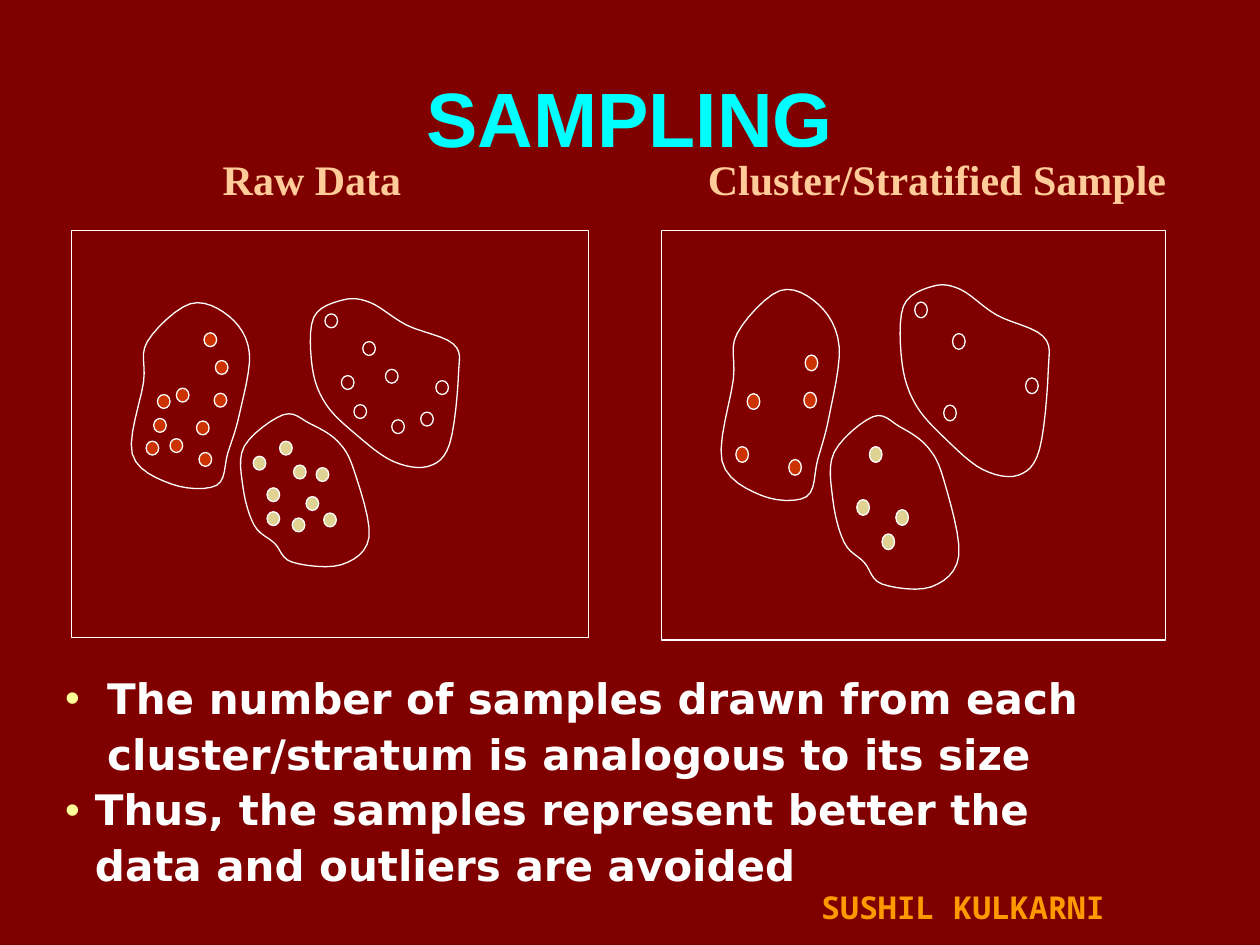
import pptx
import pptx.dml.color
import pptx.enum.shapes
import pptx.enum.text
import pptx.util
from lxml import etree

Pt = pptx.util.Pt
MAROON = pptx.dml.color.RGBColor(0x80, 0x00, 0x00)
WHITE = pptx.dml.color.RGBColor(0xFF, 0xFF, 0xFF)
CYAN = pptx.dml.color.RGBColor(0x00, 0xFF, 0xFF)
PEACH = pptx.dml.color.RGBColor(0xFF, 0xCC, 0x99)
ORANGE = pptx.dml.color.RGBColor(0xFF, 0x99, 0x00)
RED = pptx.dml.color.RGBColor(0xCC, 0x33, 0x00)
SAND = pptx.dml.color.RGBColor(0xDF, 0xD2, 0x93)
YELLOW = pptx.dml.color.RGBColor(0xFF, 0xFF, 0x99)

GRID_WIDTH, GRID_HEIGHT = 262, 213
DOT_WIDTH, DOT_HEIGHT = 10, 11
CURVE_STEPS = 6

CLUSTERS = [
    {
        "color": MAROON,
        "sampled": [(183, 35), (176, 85), (241, 66), (153, 13)],
        "unsampled": [(201, 57), (166, 62), (229, 91), (206, 97)],
        "outline": [(255, 37), (259, 61), (252, 116), (235, 134), (207, 130), (178, 109),
                    (154, 85), (143, 56), (144, 16), (167, 2), (189, 4), (218, 22)],
    },
    {
        "color": SAND,
        "sampled": [(127, 175), (138, 158), (107, 151), (117, 114)],
        "unsampled": [(96, 126), (146, 135), (107, 170), (128, 133), (152, 171)],
        "outline": [(113, 195), (97, 181), (88, 151), (89, 118), (120, 93), (141, 100),
                    (163, 114), (176, 137), (188, 190), (166, 212), (127, 210)],
    },
    {
        "color": RED,
        "sampled": [(11, 114), (20, 77), (53, 123), (65, 76), (66, 50)],
        "unsampled": [(30, 112), (17, 96), (51, 98), (35, 72), (57, 28)],
        "outline": [(76, 123), (67, 149), (31, 148), (0, 124), (9, 67),
                    (12, 35), (46, 5), (77, 15), (93, 44), (85, 93)],
    },
]

BULLET_LINES = [
    ("The number of samples drawn from each", True, 24),
    ("cluster/stratum is analogous to its size", False, 24),
    ("Thus, the samples represent better the", True, 17),
    ("data and outliers are avoided", False, 17),
]


def style_shape(shape, fill=None):
    """Give a shape a thin white line and a plain fill or none."""
    shape.shadow.inherit = False
    shape.line.color.rgb = WHITE
    shape.line.width = Pt(0.75)
    if fill is None:
        shape.fill.background()
    else:
        shape.fill.solid()
        shape.fill.fore_color.rgb = fill


def add_span(para, text, size, font, color):
    """Add one bold run to a paragraph."""
    span = para.add_run()
    span.text = text
    span.font.size = Pt(size)
    span.font.name = font
    span.font.bold = True
    span.font.color.rgb = color


def add_text_box(page, box, wrap=True):
    """Add an empty text box in the given place."""
    shape = page.shapes.add_textbox(*map(Pt, box))
    shape.text_frame.word_wrap = wrap
    return shape


def blend(before, start, end, after, t):
    """Return the value at t on the smooth curve from start to end."""
    slope_in, slope_out = (end - before) / 2, (after - start) / 2
    rise = end - start
    bend = 3 * rise - 2 * slope_in - slope_out
    twist = slope_in + slope_out - 2 * rise
    return start + t * (slope_in + t * (bend + t * twist))


def smooth_outline(knots):
    """Return points along the closed smooth curve through the knots."""
    count = len(knots)
    result = []
    for index in range(count):
        near = [knots[(index + shift) % count] for shift in (-1, 0, 1, 2)]
        for step in range(CURVE_STEPS):
            result.append([blend(*values, step / CURVE_STEPS) for values in zip(*near)])
    return result


def add_clusters(page, box, sampled_only):
    """Draw the three clusters and their dots, stretched to the box."""
    left, top, width, height = box
    scale_x, scale_y = width / GRID_WIDTH, height / GRID_HEIGHT

    def place(point):
        return Pt(left + point[0] * scale_x), Pt(top + point[1] * scale_y)

    for cluster in CLUSTERS:
        dots = cluster["sampled"] + ([] if sampled_only else cluster["unsampled"])
        for dot in dots:
            shape = page.shapes.add_shape(
                pptx.enum.shapes.MSO_SHAPE.FLOWCHART_CONNECTOR, *place(dot),
                Pt(DOT_WIDTH * scale_x), Pt(DOT_HEIGHT * scale_y))
            style_shape(shape, cluster["color"])
        points = [place(point) for point in smooth_outline(cluster["outline"])]
        builder = page.shapes.build_freeform(*points[0])
        builder.add_line_segments(points[1:], close=True)
        style_shape(builder.convert_to_shape())


def add_panel(page, box, cluster_top, cluster_height, sampled_only):
    """Draw a framed panel holding the clusters."""
    frame = page.shapes.add_shape(pptx.enum.shapes.MSO_SHAPE.RECTANGLE, *map(Pt, box))
    style_shape(frame)
    cluster_box = (box[0] + 34.6, box[1] + cluster_top, 188.6, cluster_height)
    add_clusters(page, cluster_box, sampled_only)


def add_title(page, box):
    """Write the centred slide title."""
    shape = add_text_box(page, box)
    shape.text_frame.vertical_anchor = pptx.enum.text.MSO_ANCHOR.MIDDLE
    para = shape.text_frame.paragraphs[0]
    para.alignment = pptx.enum.text.PP_ALIGN.CENTER
    add_span(para, "SAMPLING", 44, "Arial", CYAN)


def add_label(page, box, text):
    """Write the heading of a panel."""
    shape = add_text_box(page, box, wrap=False)
    shape.fill.solid()
    shape.fill.fore_color.rgb = MAROON
    add_span(shape.text_frame.paragraphs[0], text, 24, "Times New Roman", PEACH)


def add_bullet(para):
    """Put a yellow bullet before a paragraph."""
    properties = para._p.get_or_add_pPr()
    color = etree.SubElement(properties, pptx.oxml.ns.qn("a:buClr"))
    etree.SubElement(color, pptx.oxml.ns.qn("a:srgbClr"), val=str(YELLOW))
    etree.SubElement(properties, pptx.oxml.ns.qn("a:buFont"), typeface="Arial")
    etree.SubElement(properties, pptx.oxml.ns.qn("a:buChar"), char="•")


def add_bullets(page, box):
    """Write the bulleted remarks."""
    frame = add_text_box(page, box).text_frame
    for index, (text, bulleted, margin) in enumerate(BULLET_LINES):
        para = frame.add_paragraph() if index else frame.paragraphs[0]
        para.line_spacing = 0.9
        para.space_before = Pt(6 if index else 0)
        properties = para._p.get_or_add_pPr()
        properties.set("marL", str(Pt(margin)))
        properties.set("indent", str(-Pt(margin) if bulleted else 0))
        if bulleted:
            add_bullet(para)
        add_span(para, text, 24, "DejaVu Sans", WHITE)


def add_author(page, box):
    """Write the author's name."""
    para = add_text_box(page, box).text_frame.paragraphs[0]
    add_span(para, "SUSHIL KULKARNI", 18, "Noto Sans Mono", ORANGE)


def main():
    """Build and save the deck."""
    deck = pptx.Presentation()
    deck.slide_width, deck.slide_height = Pt(720), Pt(540)
    page = deck.slides.add_slide(deck.slide_layouts[6])
    page.background.fill.solid()
    page.background.fill.fore_color.rgb = MAROON
    add_title(page, (36, 21.6, 648, 90))
    add_panel(page, (41, 131.8, 295.2, 232.6), 38.2, 153.4, sampled_only=False)
    add_panel(page, (378, 131.8, 288, 234), 30.2, 174.2, sampled_only=True)
    add_label(page, (120.2, 84.2, 122.4, 36), "Raw Data")
    add_label(page, (397.4, 84.2, 276.5, 36), "Cluster/Stratified Sample")
    add_bullets(page, (30.2, 383.8, 649.4, 128.9))
    add_author(page, (462.2, 504, 185.8, 28.8))
    deck.save("out.pptx")


if __name__ == "__main__":
    main()
